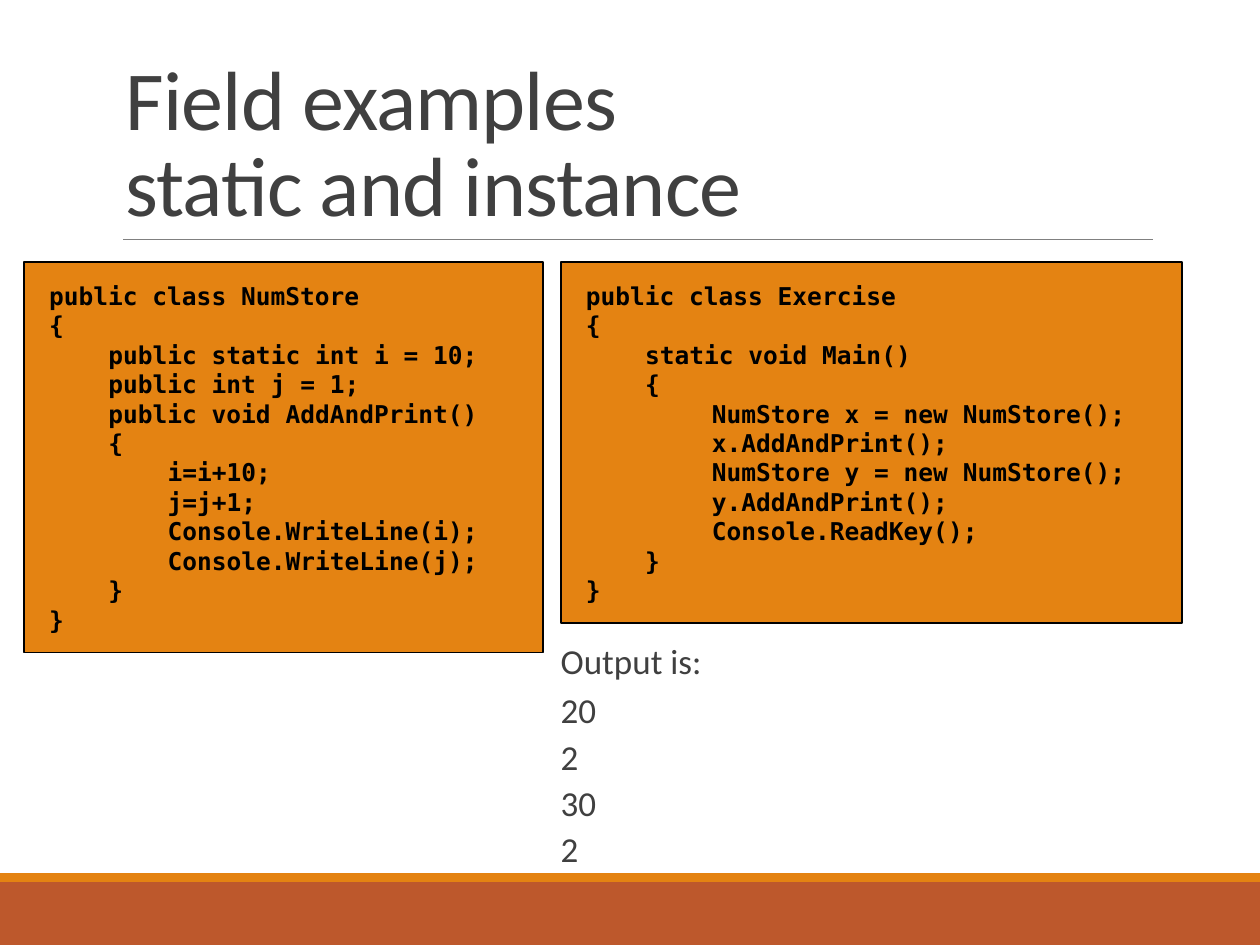
from dataclasses import dataclass

from lxml.etree import SubElement
from pptx import Presentation
from pptx.dml.color import RGBColor
from pptx.enum.shapes import MSO_CONNECTOR, MSO_SHAPE
from pptx.enum.text import MSO_ANCHOR, PP_ALIGN
from pptx.oxml.ns import qn
from pptx.util import Inches, Pt


@dataclass(frozen=True)
class Theme:
    """Colours, fonts and type sizes of the slide."""
    orange: RGBColor = RGBColor.from_string("E48312")
    rust: RGBColor = RGBColor.from_string("BD582C")
    gray: RGBColor = RGBColor.from_string("808080")
    text: RGBColor = RGBColor.from_string("404040")
    black: RGBColor = RGBColor.from_string("000000")
    font: str = "Calibri"
    code_font: str = "DejaVu Sans Mono"
    title_size: int = 48
    body_size: int = 20
    code_size: int = 14


theme = Theme()
WIDTH, HEIGHT = 10, 7.5
CODE_TOP, CODE_LINE, RIGHT_COLUMN = 2.08, 16.8, 4.45

deck = Presentation()
deck.slide_width, deck.slide_height = Inches(WIDTH), Inches(HEIGHT)
page = deck.slides.add_slide(deck.slide_layouts[6])


def add_rectangle(left, top, width, height, color):
    """Add a flat filled rectangle without outline or shadow."""
    box = page.shapes.add_shape(MSO_SHAPE.RECTANGLE, *map(Inches, (left, top, width, height)))
    box.shadow.inherit = False
    box.fill.solid()
    box.fill.fore_color.rgb = color
    box.line.fill.background()
    return box


def write_lines(box, lines, font_format, frame_format):
    """Write (text, paragraph format, left indent in inches) lines in a box."""
    frame = box.text_frame
    frame.word_wrap = True
    for name, value in frame_format.items():
        setattr(frame, name, value)
    for number, (text, para_format, indent) in enumerate(lines):
        para = frame.add_paragraph() if number else frame.paragraphs[0]
        para.text = text
        para.alignment = PP_ALIGN.LEFT
        for name, value in para_format.items():
            setattr(para, name, value)
        if indent:
            para._p.get_or_add_pPr().set("marL", str(Inches(indent)))
        for span in para.runs:
            for name, value in font_format.items():
                setattr(span.font, name, value)
            span.font.color.rgb = theme.black if span.font.bold else theme.text


# Footer bands
add_rectangle(0, 7, WIDTH, 0.5, theme.rust)
add_rectangle(0, 6.93, WIDTH, 0.07, theme.orange)

# Title and rule
rule = page.shapes.add_connector(MSO_CONNECTOR.STRAIGHT, *map(Inches, (0.98, 1.9, 9.15, 1.9)))
rule.line.color.rgb = theme.gray
rule.line.width = Pt(0.5)
SubElement(rule._element.spPr, qn("a:effectLst"))

title = page.shapes.add_textbox(*map(Inches, (0.9, 0.31, 8.25, 1.59)))
write_lines(
    title,
    [("Field examples\vstatic and instance", {"line_spacing": 0.85}, 0)],
    {"name": theme.font, "size": Pt(theme.title_size)},
    {"vertical_anchor": MSO_ANCHOR.BOTTOM},
)
for span in title.text_frame.paragraphs[0].runs:
    span.font._element.set("spc", "-50")

# Program output
output = page.shapes.add_textbox(*map(Inches, (RIGHT_COLUMN, 5.09, 3.67, 2)))
heading_format = {"line_spacing": 0.8, "space_after": Pt(2)}
write_lines(
    output,
    [("Output is:", heading_format, 0)]
    + [(value, {"line_spacing": 1.1}, 0) for value in ("20", "2", "30", "2")],
    {"name": theme.font, "size": Pt(theme.body_size)},
    {"margin_left": 0, "margin_right": 0},
)

# Code panels: left, width, indents by level, lines as (level, text)
code_panels = [
    (0.19, 4.12, (0, 0.47, 0.94), [
        (0, "public class NumStore"),
        (0, "{"),
        (1, "public static int i = 10;"),
        (1, "public int j = 1;"),
        (1, "public void AddAndPrint()"),
        (1, "{"),
        (2, "i=i+10;"),
        (2, "j=j+1;"),
        (2, "Console.WriteLine(i);"),
        (2, "Console.WriteLine(j);"),
        (1, "}"),
        (0, "}"),
    ]),
    (RIGHT_COLUMN, 4.93, (0, 0.47, 1), [
        (0, "public class Exercise"),
        (0, "{"),
        (1, "static void Main()"),
        (1, "{"),
        (2, "NumStore x = new NumStore();"),
        (2, "x.AddAndPrint();"),
        (2, "NumStore y = new NumStore();"),
        (2, "y.AddAndPrint();"),
        (2, "Console.ReadKey();"),
        (1, "}"),
        (0, "}"),
    ]),
]
code_frame = {
    "margin_left": Inches(0.2), "margin_right": Inches(0.2),
    "margin_top": Inches(0.15), "margin_bottom": Inches(0.15),
    "vertical_anchor": MSO_ANCHOR.TOP,
}
code_font = {"name": theme.code_font, "size": Pt(theme.code_size), "bold": True}
for left, width, indents, code in code_panels:
    height = 0.3 + len(code) * CODE_LINE / 72
    panel = add_rectangle(left, CODE_TOP, width, height, theme.orange)
    panel.line.color.rgb = theme.black
    panel.line.width = Pt(1)
    lines = [(text, {"line_spacing": Pt(CODE_LINE)}, indents[level]) for level, text in code]
    write_lines(panel, lines, code_font, code_frame)

deck.save("out.pptx")
